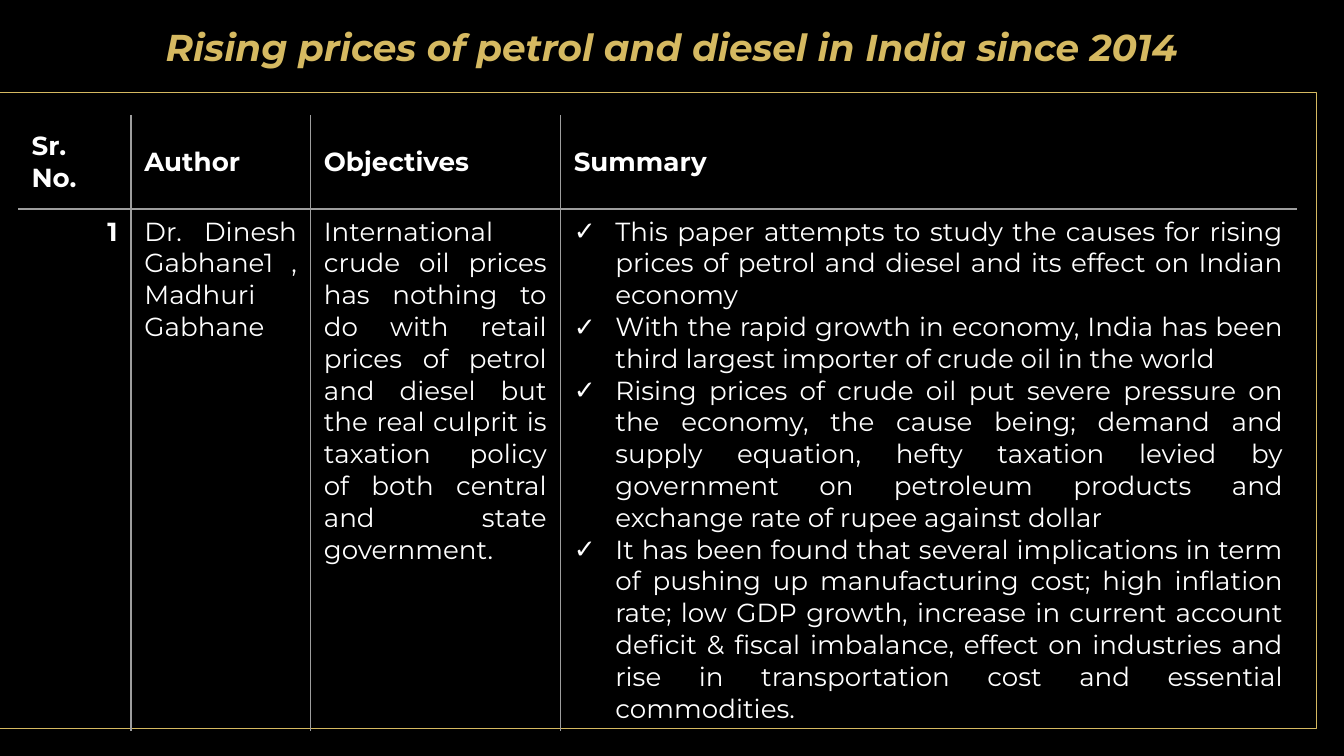
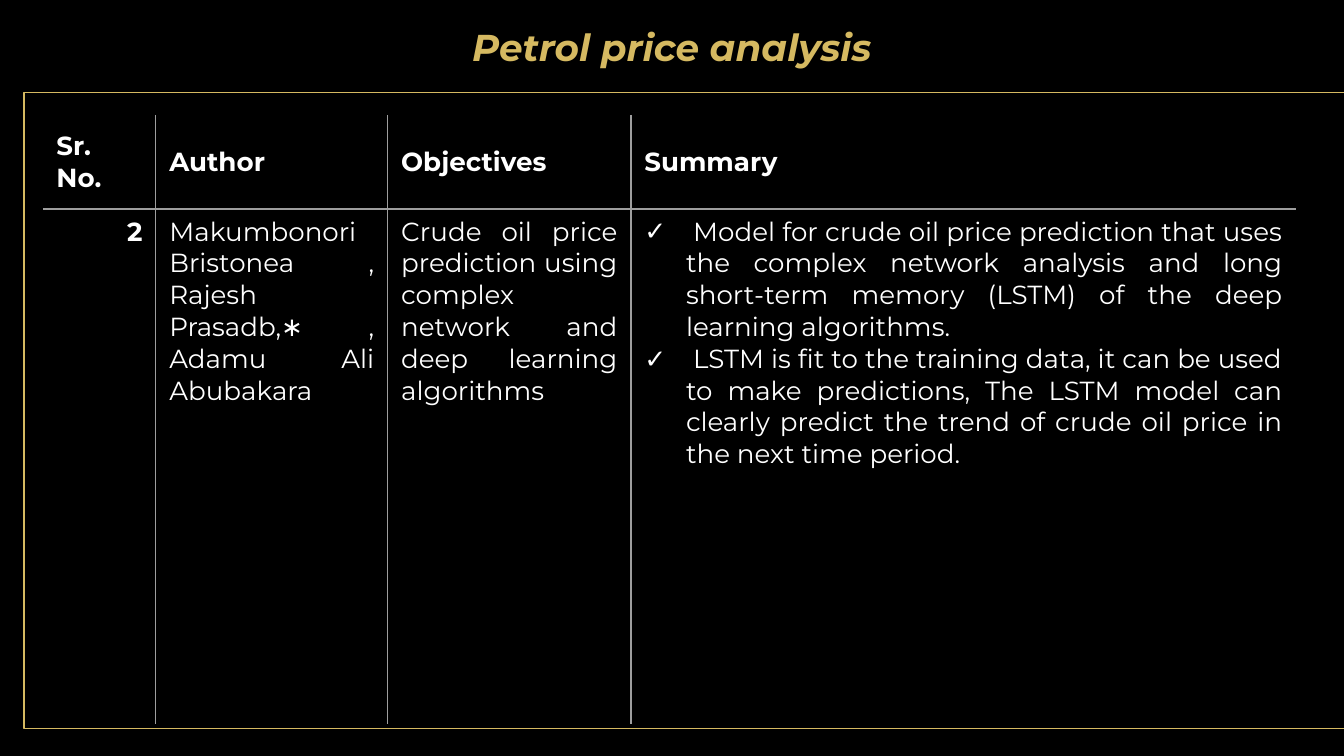
from dataclasses import dataclass

from lxml import etree
from pptx import Presentation
from pptx.dml.color import RGBColor
from pptx.enum.shapes import MSO_SHAPE
from pptx.enum.text import MSO_ANCHOR, MSO_AUTO_SIZE, PP_ALIGN
from pptx.oxml.ns import qn
from pptx.util import Pt

RECTANGLE = MSO_SHAPE.RECTANGLE
TOP, MIDDLE, BOTTOM = MSO_ANCHOR.TOP, MSO_ANCHOR.MIDDLE, MSO_ANCHOR.BOTTOM
LEFT, CENTER, RIGHT, JUSTIFY = PP_ALIGN.LEFT, PP_ALIGN.CENTER, PP_ALIGN.RIGHT, PP_ALIGN.JUSTIFY
NO_AUTOFIT = MSO_AUTO_SIZE.NONE

EMU_PER_PX = 4572
SLIDE_WIDTH, SLIDE_HEIGHT = 2000, 1125
TITLE_ONLY = 5
ROW_HEIGHTS = (140, 766)
TABLE_TOP = 171
HEADINGS = ("Sr. No.", "Author", "Objectives", "Summary")


def px(length):
    return length * EMU_PER_PX


@dataclass(frozen=True)
class Theme:
    background: str = "000000"
    gold: str = "D5B961"
    text: str = "FFFFFF"
    grid: str = "9E9E9E"
    font: str = "Montserrat"
    title_size: int = 20
    table_size: int = 14
    line_width: float = 0.75
    bullet: str = "✓"
    indent: int = 62


@dataclass(frozen=True)
class Paper:
    title: str
    frame_left: int
    frame_width: int
    table_left: int
    columns: tuple
    number: str
    author: str
    objectives: str
    summary: tuple


PAPERS = (
    Paper(
        "Rising prices of petrol and diesel in India since 2014",
        -32, 1991, 27, (168, 267, 372, 1096),
        "1",
        "Dr. Dinesh Gabhane1 , Madhuri Gabhane",
        "International crude oil prices has nothing to do with retail prices of petrol "
        "and diesel but the real culprit is taxation policy of both central and state "
        "government.",
        (
            "This paper attempts to study the causes for rising prices of petrol and "
            "diesel and its effect on Indian economy",
            "With the rapid growth in economy, India has been third largest importer of "
            "crude oil in the world",
            "Rising prices of crude oil put severe pressure on the economy, the cause "
            "being; demand and supply equation, hefty taxation levied by government on "
            "petroleum products and exchange rate of rupee against dollar",
            "It has been found that several implications in term of pushing up "
            "manufacturing cost; high inflation rate; low GDP growth, increase in current "
            "account deficit & fiscal imbalance, effect on industries and rise in "
            "transportation cost and essential commodities.",
        ),
    ),
    Paper(
        "Petrol price analysis",
        36, 2004, 64, (168, 345, 362, 990),
        "2",
        "Makumbonori Bristonea , Rajesh Prasadb,∗ , Adamu Ali Abubakara ",
        "Crude oil price prediction using complex network and deep learning algorithms ",
        (
            " Model for crude oil price prediction that uses the complex network analysis "
            "and long short-term memory (LSTM) of the deep learning algorithms.",
            " LSTM is fit to the training data, it can be used to make predictions, The "
            "LSTM model can clearly predict the trend of crude oil price in the next time "
            "period.",
        ),
    ),
)


class Deck:
    def __init__(self, theme):
        self.theme = theme
        self.presentation = Presentation()
        self.presentation.slide_width = px(SLIDE_WIDTH)
        self.presentation.slide_height = px(SLIDE_HEIGHT)
        backdrop = self.presentation.slide_master.background.fill
        backdrop.solid()
        backdrop.fore_color.rgb = RGBColor.from_string(theme.background)
        self.slide = None

    def new_slide(self):
        layout = self.presentation.slide_layouts[TITLE_ONLY]
        self.slide = self.presentation.slides.add_slide(layout)

    def style(self, paragraph, size, color, align, bold=False, italic=False):
        paragraph.alignment = align
        font = paragraph.font
        font.name = self.theme.font
        font.size = Pt(size)
        font.color.rgb = RGBColor.from_string(color)
        font.bold = bold
        font.italic = italic

    def frame(self, left, width):
        frame = self.slide.shapes.add_shape(RECTANGLE, px(left), px(138), px(width), px(946))
        frame.shadow.inherit = False
        frame.fill.background()
        frame.line.color.rgb = RGBColor.from_string(self.theme.gold)
        frame.line.width = Pt(self.theme.line_width)

    def title(self, text):
        title = self.slide.shapes.title
        title.left, title.top, title.width, title.height = px(102), px(11), px(1796), px(112)
        body = title.text_frame
        body.text = text
        body.auto_size = NO_AUTOFIT
        body.vertical_anchor = BOTTOM
        body.margin_left = body.margin_right = body.margin_top = body.margin_bottom = px(20)
        self.style(body.paragraphs[0], self.theme.title_size, self.theme.gold, CENTER, True, True)

    def table(self, left, columns, rows):
        table = self.slide.shapes.add_table(
            len(rows), len(columns), px(left), px(TABLE_TOP), px(sum(columns)), px(sum(ROW_HEIGHTS))
        ).table
        table.first_row = table.horz_banding = False
        for column, width in zip(table.columns, columns):
            column.width = px(width)
        for row, height in zip(table.rows, ROW_HEIGHTS):
            row.height = px(height)
        last_row, last_column = len(rows) - 1, len(columns) - 1
        for r, row in enumerate(rows):
            for c, content in enumerate(row):
                cell = table.cell(r, c)
                self.cell_text(cell, content, r == 0, c)
                cell.fill.background()
                self.borders(cell, L=c > 0, R=c < last_column, T=r > 0, B=r < last_row)

    def cell_text(self, cell, content, heading, column):
        bulleted = isinstance(content, tuple)
        cell.text = "\n".join(content) if bulleted else content
        cell.vertical_anchor = MIDDLE if heading else TOP
        align = LEFT if heading else RIGHT if column == 0 else JUSTIFY
        for paragraph in cell.text_frame.paragraphs:
            self.style(paragraph, self.theme.table_size, self.theme.text, align,
                       heading or column == 0)
            if bulleted:
                self.bullet(paragraph)

    def bullet(self, paragraph):
        properties = paragraph._p.get_or_add_pPr()
        properties.set("marL", str(px(self.theme.indent)))
        properties.set("indent", str(-px(self.theme.indent)))
        color = etree.Element(qn("a:buClr"))
        etree.SubElement(color, qn("a:srgbClr"), val=self.theme.text)
        typeface = etree.Element(qn("a:buFont"), typeface=self.theme.font)
        mark = etree.Element(qn("a:buChar"), char=self.theme.bullet)
        for position, element in enumerate((color, typeface, mark)):
            properties.insert(position, element)

    def borders(self, cell, **sides):
        properties = cell._tc.get_or_add_tcPr()
        for position, (side, visible) in enumerate(sides.items()):
            line = etree.Element(qn(f"a:ln{side}"), w=str(Pt(self.theme.line_width)))
            if visible:
                fill = etree.SubElement(line, qn("a:solidFill"))
                etree.SubElement(fill, qn("a:srgbClr"), val=self.theme.grid)
            else:
                etree.SubElement(line, qn("a:noFill"))
            properties.insert(position, line)


def main():
    deck = Deck(Theme())
    for paper in PAPERS:
        deck.new_slide()
        deck.frame(paper.frame_left, paper.frame_width)
        deck.title(paper.title)
        entry = (paper.number, paper.author, paper.objectives, paper.summary)
        deck.table(paper.table_left, paper.columns, (HEADINGS, entry))
    deck.presentation.save("out.pptx")


if __name__ == "__main__":
    main()
